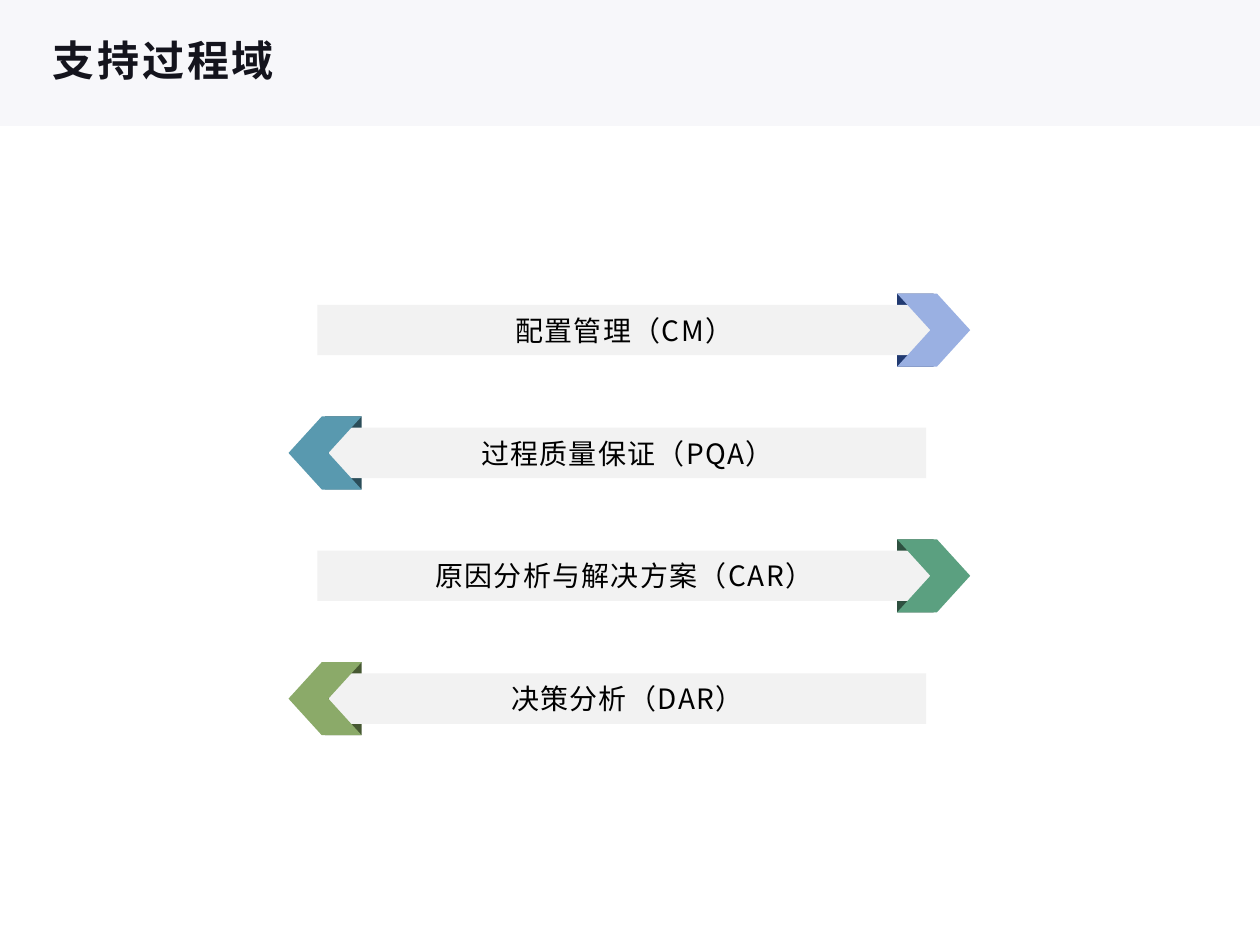
from lxml.etree import SubElement
from pptx import Presentation
from pptx.dml.color import RGBColor
from pptx.enum.shapes import MSO_SHAPE
from pptx.enum.text import MSO_ANCHOR, PP_ALIGN
from pptx.oxml.ns import qn
from pptx.util import Inches, Pt

FONT = "Noto Sans CJK SC"
HEADER = RGBColor(0xF5, 0xF5, 0xF8)
INK = RGBColor(0x14, 0x14, 0x1D)
BLACK = RGBColor(0x00, 0x00, 0x00)
BAR = RGBColor(0xF2, 0xF2, 0xF2)

TITLE = "支持过程域"
# Label, arrow colour, fold colour; arrows point right and left in turn
PROCESS_AREAS = [
    ("配置管理（CM）", RGBColor(0x9A, 0xB0, 0xE2), RGBColor(0x21, 0x3A, 0x71)),
    ("过程质量保证（PQA）", RGBColor(0x59, 0x99, 0xAF), RGBColor(0x2B, 0x4D, 0x59)),
    ("原因分析与解决方案（CAR）", RGBColor(0x5B, 0xA0, 0x80), RGBColor(0x2E, 0x50, 0x40)),
    ("决策分析（DAR）", RGBColor(0x8B, 0xAA, 0x69), RGBColor(0x46, 0x58, 0x32)),
]

# Row geometry in inches
FIRST_TOP, ROW_STEP = 2.33, 0.975
ARROW, FOLD, BAR_HEIGHT = 0.58, 0.29, 0.4
# Left edges of fold, bar and arrow, and the bar width, for each direction
RIGHTWARD = {"fold": 7.12, "bar": 2.52, "arrow": 7.12, "bar_width": 4.87}
LEFTWARD = {"fold": 2.58, "bar": 2.61, "arrow": 2.29, "bar_width": 4.74}

prs = Presentation()
prs.slide_width, prs.slide_height = Inches(10), Inches(7.5)
slide = prs.slides.add_slide(prs.slide_layouts[6])


def add_block(kind, left, top, width, height, color, flipped=False):
    block = slide.shapes.add_shape(
        kind, Inches(left), Inches(top), Inches(width), Inches(height))
    block.shadow.inherit = False
    block.fill.solid()
    block.fill.fore_color.rgb = color
    block.line.fill.background()
    if flipped:
        block._element.spPr.xfrm.set("flipH", "1")
    return block


def write(holder, text, *, size, color, bold=False, tracking=0,
          align=PP_ALIGN.LEFT, line_spacing=None, space_after=None):
    frame = holder.text_frame
    frame.word_wrap = True
    frame.vertical_anchor = MSO_ANCHOR.MIDDLE
    paragraph = frame.paragraphs[0]
    paragraph.alignment = align
    paragraph.line_spacing = line_spacing
    paragraph.space_after = space_after
    run = paragraph.add_run()
    run.text = text
    font = run.font
    font.name, font.size, font.bold = FONT, Pt(size), bold
    font.color.rgb = color
    properties = run._r.get_or_add_rPr()
    properties.set("spc", str(round(tracking * 100)))
    SubElement(properties, qn("a:ea"), typeface=FONT)


# Header band, 70 % opaque, with the title
band = add_block(MSO_SHAPE.RECTANGLE, 0, 0, 10, 1, HEADER)
band_color = band._element.spPr.find(qn("a:solidFill"))[0]
SubElement(band_color, qn("a:alpha"), val="70000")

title = slide.shapes.add_textbox(Inches(0.37), Inches(0.25), Inches(9.25), Inches(0.5))
frame = title.text_frame
frame.margin_left = frame.margin_right = Inches(0.05)
frame.margin_top = frame.margin_bottom = Inches(0.02)
write(title, TITLE, size=24, color=INK, bold=True, tracking=1.6, line_spacing=0.9)

# Ribbons: fold behind, bar with label, arrow on top
for row, (label, arrow_color, fold_color) in enumerate(PROCESS_AREAS):
    flipped = row % 2 == 1
    place = LEFTWARD if flipped else RIGHTWARD
    top = FIRST_TOP + row * ROW_STEP
    bar_top = top + (ARROW - BAR_HEIGHT) / 2

    add_block(MSO_SHAPE.RECTANGLE, place["fold"], top, FOLD, ARROW, fold_color, flipped)
    bar = add_block(MSO_SHAPE.RECTANGLE, place["bar"], bar_top,
                    place["bar_width"], BAR_HEIGHT, BAR, flipped)
    write(bar, label, size=16, color=BLACK, tracking=0.8,
          align=PP_ALIGN.CENTER, space_after=Pt(8))
    arrow = add_block(MSO_SHAPE.CHEVRON, place["arrow"], top, ARROW, ARROW,
                      arrow_color, flipped)
    arrow.adjustments[0] = 0.455

prs.save("out.pptx")
